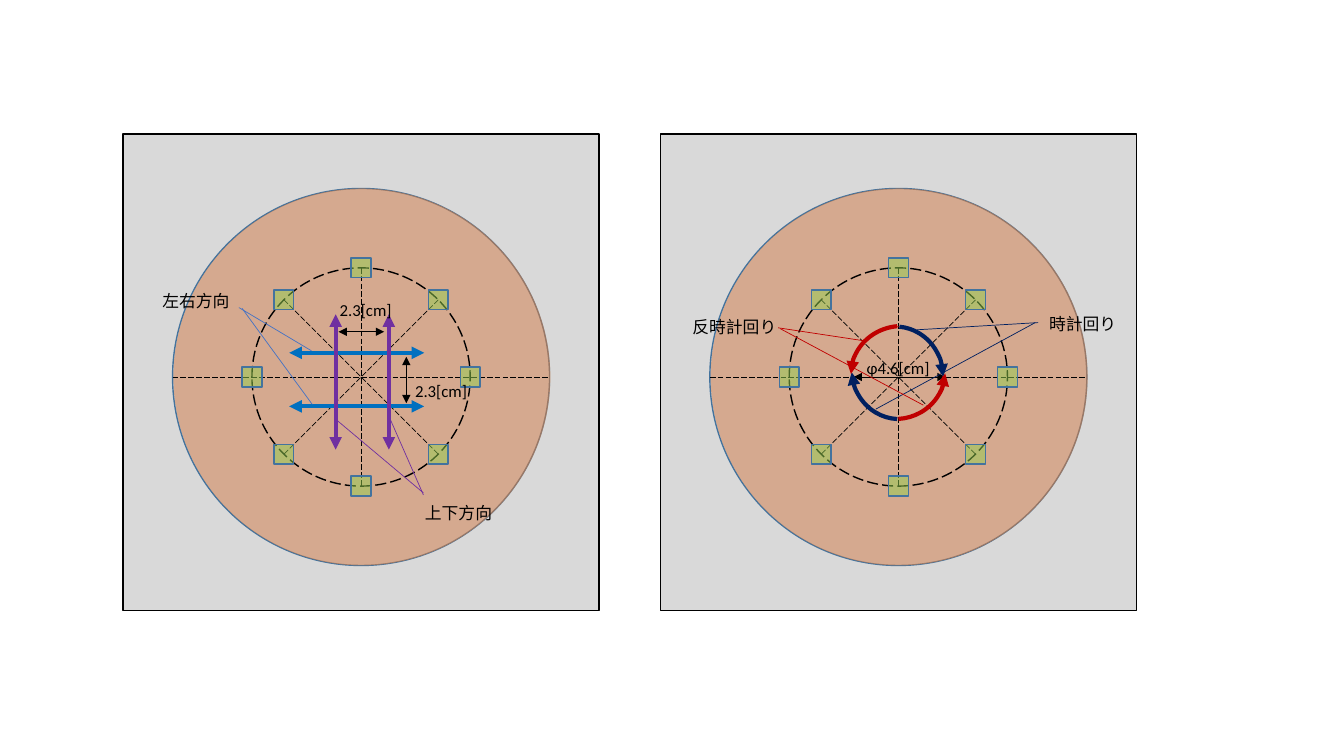
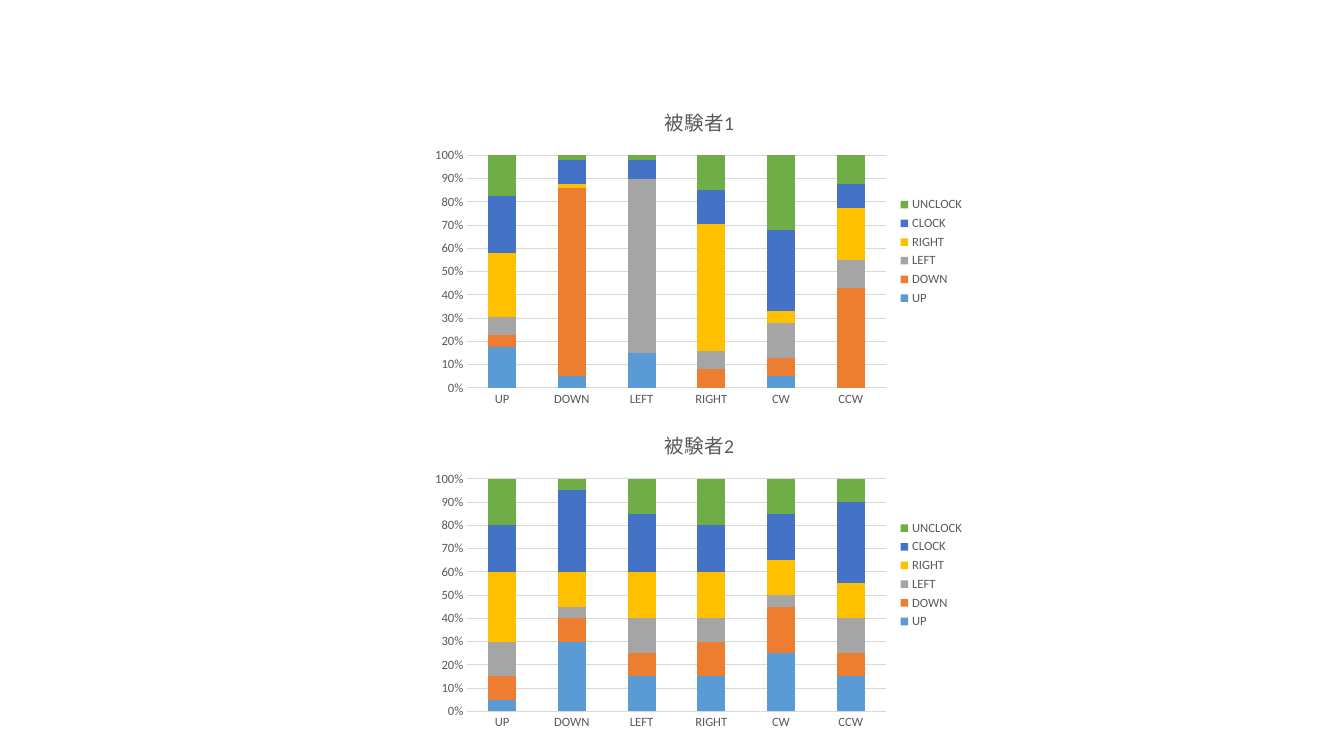
from math import cos, pi, sin

from lxml import etree
from pptx import Presentation
from pptx.chart.data import CategoryChartData
from pptx.dml.color import RGBColor
from pptx.enum.chart import XL_CHART_TYPE, XL_LEGEND_POSITION, XL_TICK_MARK
from pptx.enum.dml import MSO_LINE
from pptx.enum.shapes import MSO_CONNECTOR, MSO_SHAPE
from pptx.oxml.ns import qn
from pptx.util import Cm, Pt

RECT, OVAL, ARC = MSO_SHAPE.RECTANGLE, MSO_SHAPE.OVAL, MSO_SHAPE.ARC
STRAIGHT = MSO_CONNECTOR.STRAIGHT
DASH = MSO_LINE.LONG_DASH
STACKED = XL_CHART_TYPE.COLUMN_STACKED_100
LEGEND_RIGHT = XL_LEGEND_POSITION.RIGHT
NO_TICK = XL_TICK_MARK.NONE

FONT = "Calibri"
BLACK, GREY, GRID = "000000", "595959", "D9D9D9"
EDGE, BLUE, PURPLE = "43739E", "0070C0", "7030A0"
LEADER_BLUE, NAVY, RED = "4472C4", "002060", "C00000"

PANEL, DIAL, RING, MARKER, TURN = 12, 9.5, 5.5, 0.5, 2.3
LABEL_HEIGHT = 0.64

DIRECTIONS = ["UP", "DOWN", "LEFT", "RIGHT", "CW", "CCW"]
ANSWERS = [("UP", "5B9BD5"), ("DOWN", "ED7D31"), ("LEFT", "A5A5A5"),
           ("RIGHT", "FFC000"), ("CLOCK", "4472C4"), ("UNCLOCK", "70AD47")]
SUBJECT_1 = [(18, 5, 15, 0, 5, 0), (5, 80, 0, 8, 8, 42),
             (8, 0, 75, 8, 15, 12), (28, 2, 0, 55, 5, 22),
             (25, 10, 8, 15, 35, 10), (18, 2, 2, 15, 32, 12)]
SUBJECT_2 = [(5, 30, 15, 15, 25, 15), (10, 10, 10, 15, 20, 10),
             (15, 5, 15, 10, 5, 15), (30, 15, 20, 20, 15, 15),
             (20, 35, 25, 20, 20, 35), (20, 5, 15, 20, 15, 10)]


def rgb(color):
    return RGBColor.from_string(color)


class Deck:
    """Holds the style, the current slide and the origin of its drawing."""

    def __init__(self):
        self.prs = Presentation()
        self.prs.slide_width, self.prs.slide_height = Cm(33.87), Cm(19.05)
        self.new_slide()

    def new_slide(self):
        self.s = self.prs.slides.add_slide(self.prs.slide_layouts[6])
        self.move_to(0, 0)

    def move_to(self, x, y):
        self.x, self.y = x, y

    def at(self, x, y):
        return Cm(self.x + x), Cm(self.y + y)

    def style_line(self, line, color, width, dash=None, heads=()):
        line.color.rgb = rgb(color)
        line.width = Pt(width)
        if dash:
            line.dash_style = dash
        ln = line._get_or_add_ln()
        for end in heads:
            etree.SubElement(ln, qn(f"a:{end}"), type="triangle")

    def shape(self, kind, x, y, w, h, fill=None, alpha=None, line=None,
              width=1, dash=None, heads=()):
        sp = self.s.shapes.add_shape(kind, *self.at(x, y), Cm(w), Cm(h))
        sp.shadow.inherit = False
        if fill:
            sp.fill.solid()
            sp.fill.fore_color.rgb = rgb(fill)
            if alpha:
                clr = sp.element.spPr.find(qn("a:solidFill"))[0]
                etree.SubElement(clr, qn("a:alpha"), val=str(alpha * 1000))
        else:
            sp.fill.background()
        if line:
            self.style_line(sp.line, line, width, dash, heads)
        else:
            sp.line.fill.background()
        return sp

    def centred(self, kind, size, x=0, y=0, **style):
        return self.shape(kind, x - size / 2, y - size / 2, size, size, **style)

    def arc(self, x, y, h, angles, rotation, color, end):
        sp = self.shape(ARC, x, y, 2.41, h, line=color, width=3, heads=[end])
        sp.adjustments[0], sp.adjustments[1] = angles
        sp.rotation = rotation

    def line(self, x1, y1, x2, y2, color=BLACK, width=0.5, dash=None, heads=()):
        c = self.s.shapes.add_connector(
            STRAIGHT, *self.at(x1, y1), *self.at(x2, y2))
        self.style_line(c.line, color, width, dash, heads)
        etree.SubElement(c.element.spPr, qn("a:effectLst"))

    def arrow(self, x1, y1, x2, y2, color=BLACK, width=0.5):
        self.line(x1, y1, x2, y2, color, width, heads=("headEnd", "tailEnd"))

    def label(self, text, x, y, w):
        box = self.s.shapes.add_textbox(
            *self.at(x, y), Cm(w), Cm(LABEL_HEIGHT))
        tf = box.text_frame
        tf.word_wrap = True
        p = tf.paragraphs[0]
        p.text = text
        p.line_spacing = 0.9
        p.space_before = Pt(10)
        self.style_font(p.font, 12, BLACK)

    def style_font(self, font, size, color):
        font.name, font.size, font.bold = FONT, Pt(size), False
        font.color.rgb = rgb(color)

    def dial(self):
        """Plate with a disc, a dashed ring and eight markers on it."""
        self.shape(RECT, -PANEL / 2, -6.12, PANEL, PANEL, fill=GRID, line=BLACK)
        self.centred(OVAL, DIAL, fill="BDD7EE", line=EDGE)
        self.centred(OVAL, DIAL, x=0.02, fill="ED7D31", alpha=50)
        spokes = [(cos(k * pi / 4), sin(k * pi / 4)) for k in range(8)]
        for k, (dx, dy) in enumerate(spokes[:4]):
            r = RING / 2 if k else DIAL / 2
            self.line(-r * dx, -r * dy, r * dx, r * dy, dash=DASH)
        self.centred(OVAL, RING, line=BLACK, dash=DASH)
        for dx, dy in spokes:
            self.centred(RECT, MARKER, RING / 2 * dx, RING / 2 * dy,
                         fill="92D050", alpha=50, line=EDGE)

    def chart(self, title, rows, x, y):
        data = CategoryChartData(number_format="General")
        data.categories = DIRECTIONS
        for (name, _), values in zip(ANSWERS, rows):
            data.add_series(name, values)
        chart = self.s.shapes.add_chart(
            STACKED, *self.at(x, y), Cm(13.87), Cm(8.15), data).chart
        self.style_font(chart.font, 10, BLACK)

        # Title and legend
        chart.has_title = True
        p = chart.chart_title.text_frame.paragraphs[0]
        p.text = title
        self.style_font(p.font, 14, GREY)
        chart.chart_title.include_in_layout = False
        chart.has_legend = True
        chart.legend.position = LEGEND_RIGHT
        chart.legend.include_in_layout = False
        self.style_font(chart.legend.font, 9, GREY)

        # Axes
        for axis in (chart.category_axis, chart.value_axis):
            axis.major_tick_mark = axis.minor_tick_mark = NO_TICK
            self.style_font(axis.tick_labels.font, 9, GREY)
        self.style_line(chart.category_axis.format.line, GRID, 0.75)
        axis = chart.value_axis
        axis.format.line.fill.background()
        axis.has_major_gridlines = True
        self.style_line(axis.major_gridlines.format.line, GRID, 0.75)
        axis.tick_labels.number_format = "0%"
        axis.tick_labels.number_format_is_linked = False

        # Columns
        plot = chart.plots[0]
        plot.gap_width, plot.overlap = 150, 100
        plot.vary_by_categories = False
        for series, (_, color) in zip(plot.series, ANSWERS):
            series.format.fill.solid()
            series.format.fill.fore_color.rgb = rgb(color)


def straight_strokes(deck):
    deck.move_to(9.1, 9.5)
    deck.dial()

    # Strokes and their spacing
    for y in (0.74, -0.61):
        deck.arrow(-1.81, y, 1.59, y, BLUE, 3)
    deck.arrow(1.14, -0.51, 1.14, 0.66)
    deck.label("2.3[cm]", 1.11, 0.03, 2.08)
    for x in (-0.64, 0.7):
        deck.arrow(x, -1.58, x, 1.83, PURPLE, 3)
    deck.arrow(0.58, -1.14, -0.57, -1.14)
    deck.label("2.3[cm]", -0.79, -2.01, 2.08)

    # Names with leaders
    deck.line(-3.08, -1.75, -1.25, -0.66, LEADER_BLUE)
    deck.line(-3, -1.73, -1.23, 0.69, LEADER_BLUE)
    deck.label("左右方向", -5.26, -2.24, 2.46)
    deck.line(-0.67, 1.04, 1.57, 2.92, PURPLE)
    deck.line(0.68, 0.94, 1.57, 2.97, PURPLE)
    deck.label("上下方向", 1.36, 3.1, 2.46)


def circular_strokes(deck):
    deck.move_to(22.64, 9.5)
    deck.dial()

    # Diameter
    deck.arrow(1.19, 0, -1.13, 0)
    deck.label("φ4.6[cm]", -1.05, -0.56, 2.26)
    deck.shape(OVAL, -1.18, -1.27, TURN, TURN, line=RED, width=0.25, dash=DASH)

    # Quarter turns
    long_turn, short_turn = (164.77, 215.83), (163.52, 213.77)
    deck.arc(-1.28, -1.27, 2.54, long_turn, 0, NAVY, "tailEnd")
    deck.arc(-1.18, -1.45, 2.51, short_turn, 180, NAVY, "tailEnd")
    deck.arc(-1.13, -1.35, 2.54, long_turn, 265.3, RED, "headEnd")
    deck.arc(-1.28, -1.4, 2.51, short_turn, 90, RED, "headEnd")

    # Names with leaders
    deck.line(0.47, -1.19, 3.52, -1.37, NAVY)
    deck.line(-0.57, 0.81, 3.45, -1.37, NAVY)
    deck.label("時計回り", 3.55, -1.65, 2.39)
    deck.line(-3.03, -1.24, -0.85, -0.91, RED)
    deck.line(-2.98, -1.22, 0.63, 0.71, RED)
    deck.label("反時計回り", -5.44, -1.58, 2.67)


def main():
    deck = Deck()
    straight_strokes(deck)
    circular_strokes(deck)

    deck.new_slide()
    deck.chart("被験者2", SUBJECT_2, 10.69, 10.41)
    deck.chart("被験者1", SUBJECT_1, 10.69, 2.26)

    deck.prs.save("out.pptx")


if __name__ == "__main__":
    main()
